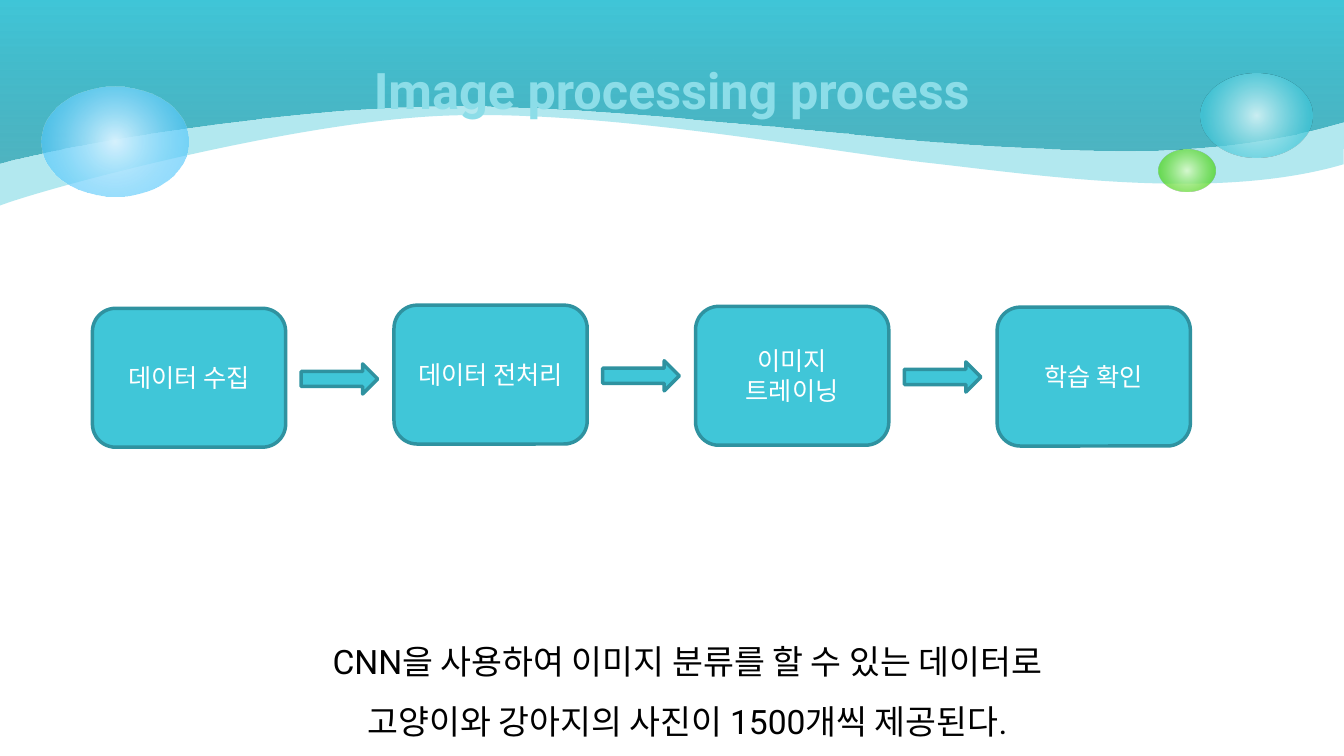
from lxml.etree import SubElement
from pptx import Presentation
from pptx.dml.color import RGBColor
from pptx.enum.shapes import MSO_SHAPE
from pptx.enum.text import MSO_ANCHOR, PP_ALIGN
from pptx.oxml.ns import qn
from pptx.util import Cm, Pt

COLORS = {
    "teal": "40C6D8", "deep": "249EAE", "edge": "2F92A0", "mist": "D9F4F7",
    "title": "8CDDE8", "lime": "4CD416", "pale_lime": "DAFACD",
    "sky": "33BDFB", "pale_sky": "D6F2FE", "white": "FFFFFF", "black": "000000",
}
FONT = "Roboto"

# Side and lower edge of each wave in cm, three points per curve
BACK_WAVE = [(0, 1.37), (0, 3.81), (0, 5.18),
             (1.12, 4.75), (7.24, 3.1), (11.1, 2.92),
             (15.06, 2.74), (20.52, 3.76), (23.27, 4.09),
             (26.01, 4.39), (30.56, 5.11), (33.86, 4.14)]
FRONT_WAVE = [(0, 1.37), (0, 2.74), (0, 4.11),
              (1.52, 3.66), (6.88, 2.74), (11.05, 2.67),
              (15.19, 2.59), (22.3, 3.53), (24.97, 3.66),
              (27.64, 3.78), (30.56, 4.04), (33.86, 3.07)]
# Left, top, width, height in cm, then gradient stops: position, colour, opacity
BUBBLES = [
    ((30.25, 1.85, 2.82, 2.11), [(0, "mist", 90), (76, "teal", 70)]),
    ((29.2, 3.76, 1.42, 1.07), [(0, "pale_lime", 90), (76, "lime", 70)]),
    ((1.04, 2.18, 3.7, 2.77), [(0, "pale_sky", 100), (100, "sky", 54)]),
]
STEPS = [("데이터 수집", 7.77), ("데이터 전처리", 7.69),
         ("이미지 트레이닝", 7.72), ("학습 확인", 7.74)]
STEP_LEFT, STEP_PITCH = 2.33, 7.6
CAPTION = ["CNN을 사용하여 이미지 분류를 할 수 있는 데이터로",
           "고양이와 강아지의 사진이 1500개씩 제공된다."]


def rgb(name):
    """Return the named colour."""
    return RGBColor.from_string(COLORS[name])


def set_alpha(clr, percent):
    """Give a colour element an opacity."""
    SubElement(clr, qn("a:alpha"), val=str(percent * 1000))


def fill_solid(sp, color, opacity=100):
    """Fill a shape with one colour."""
    sp.fill.solid()
    sp.fill.fore_color.rgb = rgb(color)
    if opacity < 100:
        set_alpha(next(sp._element.spPr.iter(qn("a:srgbClr"))), opacity)


def fill_gradient(sp, stops, angle=None):
    """Fill a shape with a linear gradient, or a radial one without an angle."""
    sp.fill.gradient()
    grad = sp._element.spPr.find(qn("a:gradFill"))
    for child in list(grad):
        grad.remove(child)
    gs_list = SubElement(grad, qn("a:gsLst"))
    for pos, color, opacity in stops:
        gs = SubElement(gs_list, qn("a:gs"), pos=str(pos * 1000))
        set_alpha(SubElement(gs, qn("a:srgbClr"), val=COLORS[color]), opacity)
    if angle is None:
        radial = SubElement(grad, qn("a:path"), path="circle")
        SubElement(radial, qn("a:fillToRect"), l="50000", t="50000", r="50000", b="50000")
    else:
        SubElement(grad, qn("a:lin"), ang=str(angle * 60000), scaled="0")


def add_wave(slide, edge):
    """Draw a band from the slide top down to a curved edge."""
    builder = slide.shapes.build_freeform(0, 0)
    builder.add_line_segments([(Cm(x), Cm(y)) for x, y in [*edge, (33.91, 0)]])
    sp = builder.convert_to_shape()
    sp.shadow.inherit = False
    sp.line.fill.background()
    lines = list(sp._element.spPr.iter(qn("a:lnTo")))
    for i in range(0, len(edge), 3):
        curve = SubElement(lines[i].getparent(), qn("a:cubicBezTo"))
        lines[i].addprevious(curve)
        for line in lines[i:i + 3]:
            curve.append(line[0])
            line.getparent().remove(line)
    return sp


def add_preset(slide, kind, left, top, width, height):
    """Add a preset shape without a shadow."""
    sp = slide.shapes.add_shape(kind, Cm(left), Cm(top), Cm(width), Cm(height))
    sp.shadow.inherit = False
    return sp


def add_bubble(slide, box, stops):
    """Add a translucent bubble."""
    sp = add_preset(slide, MSO_SHAPE.OVAL, *box)
    sp.line.fill.background()
    fill_gradient(sp, stops)


def add_block(slide, kind, *box):
    """Add an outlined teal shape of the process."""
    sp = add_preset(slide, kind, *box)
    fill_solid(sp, "teal")
    sp.line.color.rgb = rgb("edge")
    sp.line.width = Pt(2.5)
    return sp


def write(tf, lines, size, color, bold=False, spacing=None):
    """Write centred paragraphs in the slide font."""
    tf.word_wrap = True
    tf.text = "\n".join(lines)
    for p in tf.paragraphs:
        p.alignment = PP_ALIGN.CENTER
        p.line_spacing = spacing
        for r in p.runs:
            r.font.size, r.font.bold, r.font.name = Pt(size), bold, FONT
            r.font.color.rgb = rgb(color)


def add_title(slide, text):
    """Place the title in front of the waves."""
    sp = slide.shapes.title
    sp.left, sp.top, sp.width, sp.height = Cm(2.33), Cm(0.41), Cm(29.21), Cm(3.68)
    write(sp.text_frame, [text], 36, "title", bold=True)
    sp.text_frame.vertical_anchor = MSO_ANCHOR.MIDDLE
    slide.shapes._spTree.append(sp._element)


def add_process(slide):
    """Add the row of steps with arrows between them."""
    for i, (label, top) in enumerate(STEPS):
        left = STEP_LEFT + i * STEP_PITCH
        sp = add_block(slide, MSO_SHAPE.ROUNDED_RECTANGLE, left, top, 4.87, 3.5)
        write(sp.text_frame, [label], 18, "white")
        sp.text_frame.vertical_anchor = MSO_ANCHOR.MIDDLE
        if i < len(STEPS) - 1:
            add_block(slide, MSO_SHAPE.RIGHT_ARROW, left + 5.26, top + 1.4, 1.93, 0.76)


def add_caption(slide):
    """Add the description under the process."""
    sp = slide.shapes.add_textbox(Cm(0.79), Cm(15.51), Cm(33.07), Cm(3.12))
    write(sp.text_frame, CAPTION, 24, "black", spacing=1.5)


def main():
    """Build and save the slide."""
    prs = Presentation()
    prs.slide_width, prs.slide_height = Cm(33.87), Cm(19.05)
    slide = prs.slides.add_slide(prs.slide_layouts[5])
    fill_solid(add_wave(slide, BACK_WAVE), "teal", 40)
    fill_gradient(add_wave(slide, FRONT_WAVE), [(0, "deep", 69), (100, "teal", 100)], 270)
    for box, stops in BUBBLES:
        add_bubble(slide, box, stops)
    add_title(slide, "Image processing process")
    add_caption(slide)
    add_process(slide)
    prs.save("out.pptx")


main()
